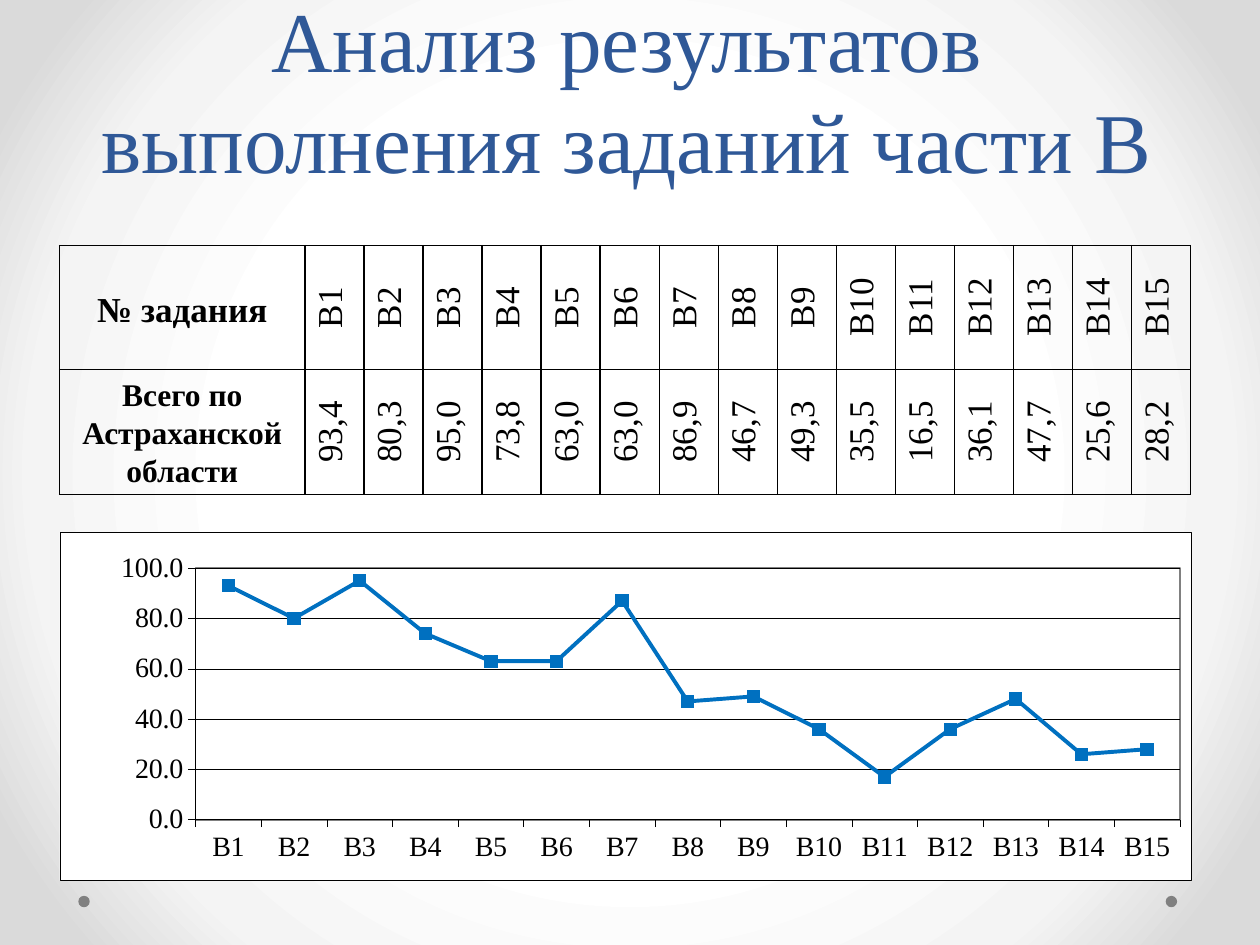
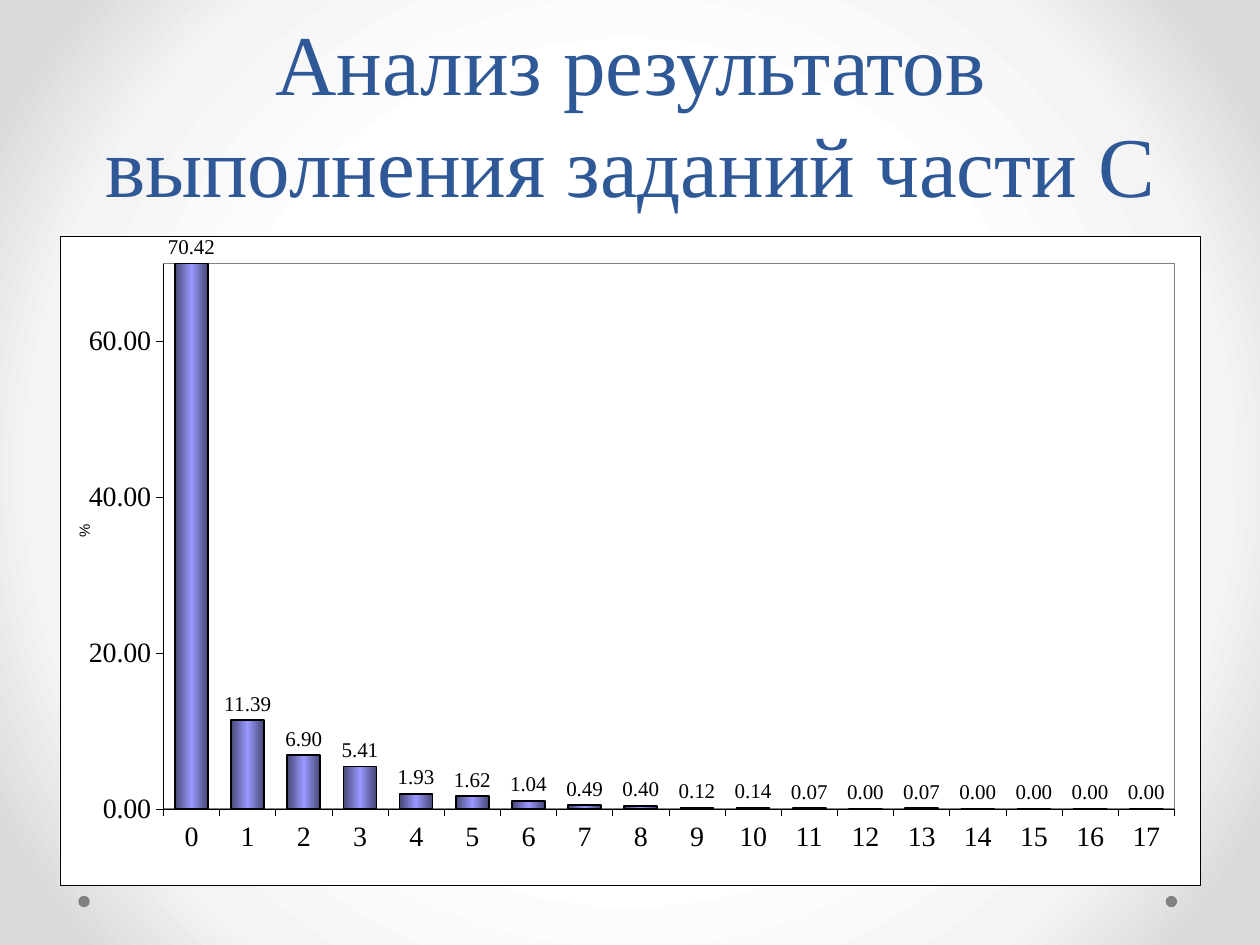
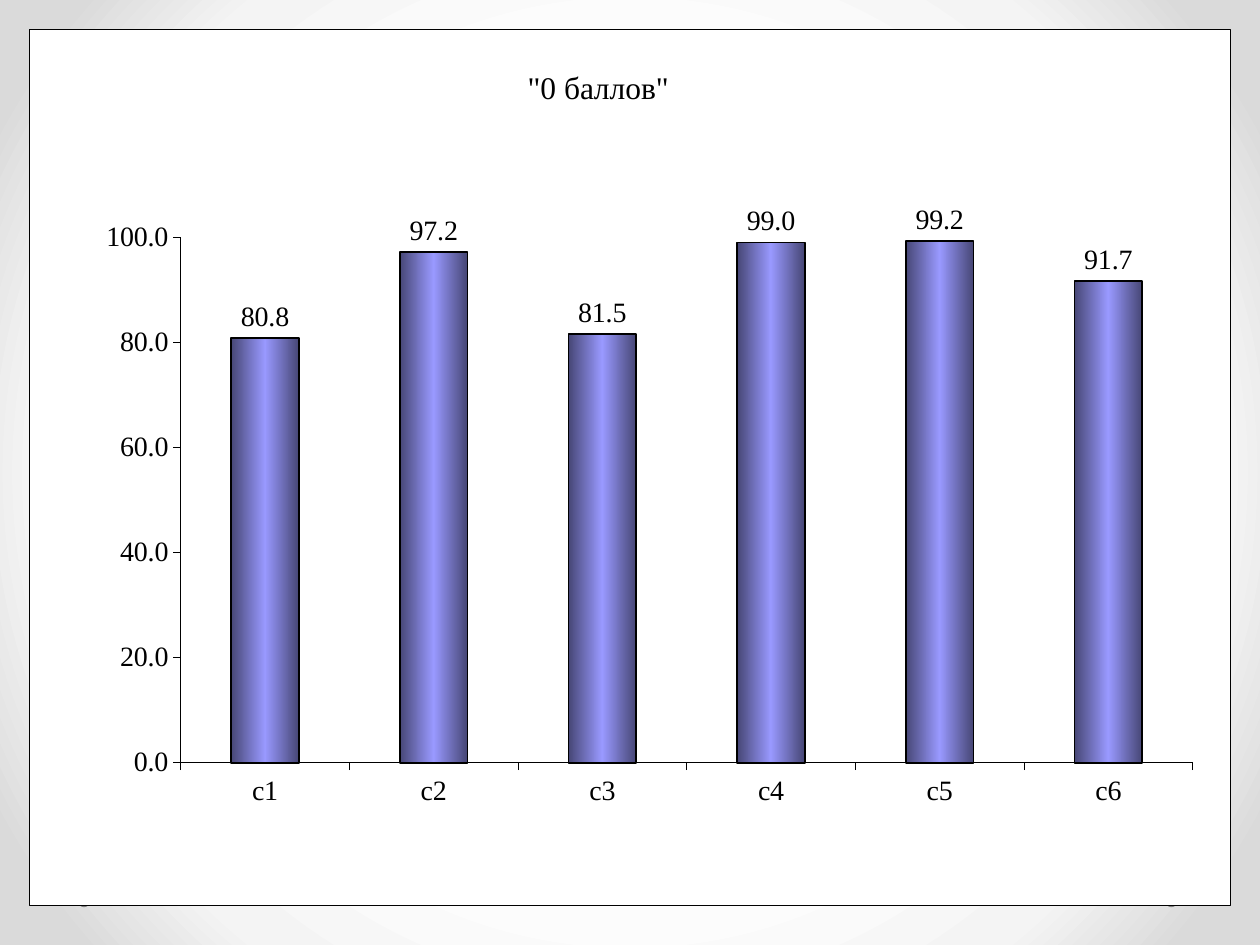
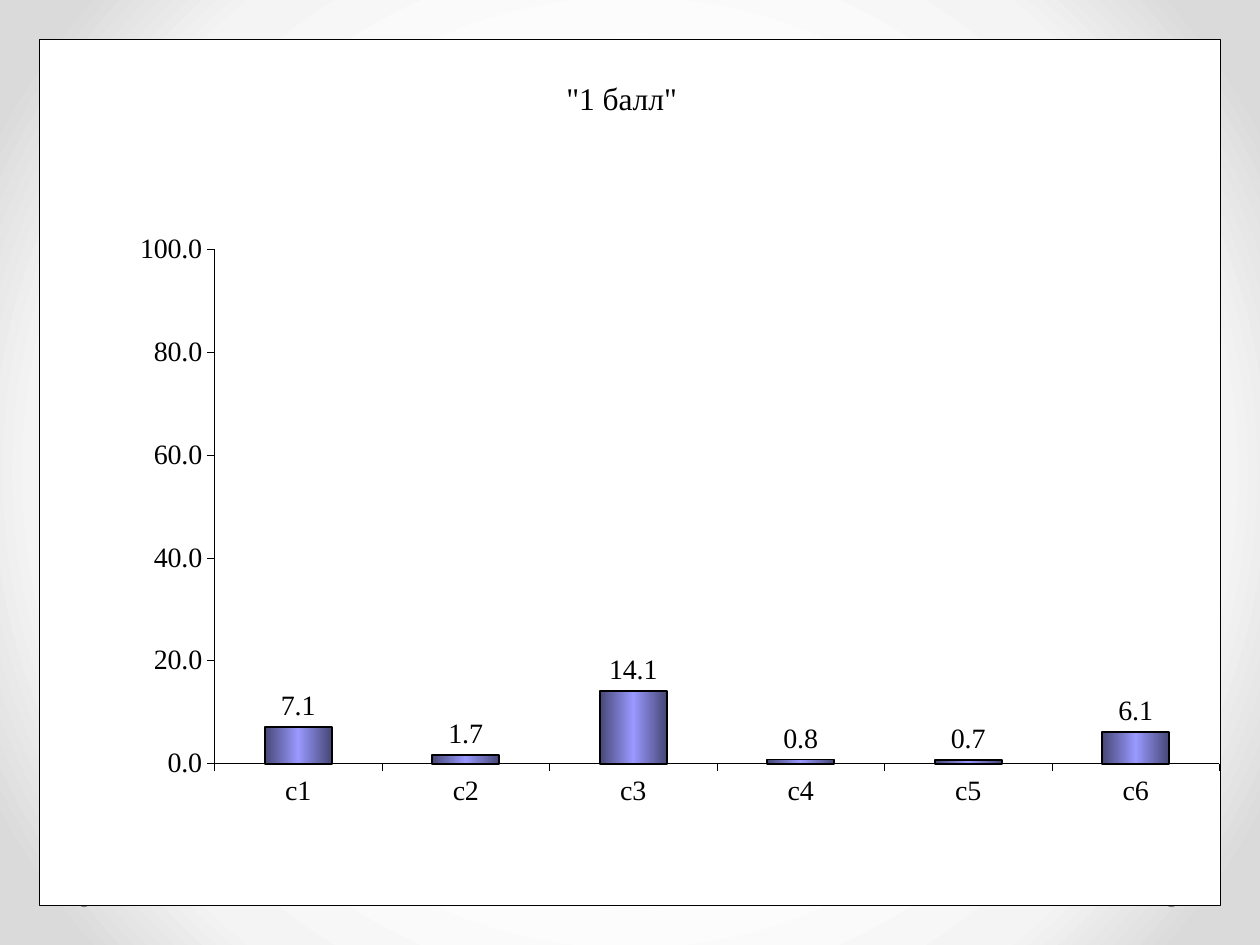
from pptx import Presentation
from pptx.chart.data import CategoryChartData
from pptx.dml.color import RGBColor
from pptx.enum.chart import XL_CHART_TYPE as ChartType
from pptx.enum.chart import XL_LABEL_POSITION as LabelPosition
from pptx.enum.chart import XL_MARKER_STYLE as MarkerStyle
from pptx.enum.chart import XL_TICK_MARK as TickMark
from pptx.enum.shapes import MSO_SHAPE as ShapeType
from pptx.enum.text import MSO_ANCHOR as Anchor
from pptx.enum.text import PP_ALIGN as Align
from pptx.oxml import parse_xml
from pptx.oxml.ns import nsdecls, qn
from pptx.util import Cm, Pt

SERIF = "Times New Roman"
SANS = "Arial"
BLACK = "000000"
WHITE = "FFFFFF"
GREY = "808080"
TITLE_BLUE = "2F5897"
LINE_BLUE = "0070C0"
BACKGROUND_STOPS = [(50, WHITE), (76, "F4F4F4"), (92, "DADADA")]
BAR_STOPS = [(0, "474776"), (50, "9999FF"), (100, "474776")]
CENTRE_OUT = ('<a:path path="circle"><a:fillToRect l="50000" t="50000" '
              'r="50000" b="50000"/></a:path>')
LEFT_TO_RIGHT = '<a:lin ang="0" scaled="1"/>'

PART_B = [93.4, 80.3, 95.0, 73.8, 63.0, 63.0, 86.9, 46.7, 49.3, 35.5,
          16.5, 36.1, 47.7, 25.6, 28.2]
PART_B_ROUNDED = [int(result + 0.5) for result in PART_B]
PART_B_TASKS = [f"В{number}" for number in range(1, len(PART_B) + 1)]
PART_C = [70.42, 11.39, 6.9, 5.41, 1.93, 1.62, 1.04, 0.49, 0.4,
          0.12, 0.14, 0.07, 0, 0.07, 0, 0, 0, 0]
PART_C_SCORES = [str(score) for score in range(len(PART_C))]
PART_C_TASKS = ["с1", "с2", "с3", "с4", "с5", "c6"]


def colour(value):
    return RGBColor.from_string(value)


def lengths(box):
    return [Cm(value) for value in box]


def apply(target, **values):
    for name, value in values.items():
        setattr(target, name, value)


def style_font(font, size, hex_colour=BLACK, name=SERIF, bold=False):
    apply(font, size=Pt(size), name=name, bold=bold)
    font.color.rgb = colour(hex_colour)


def style_line(line, hex_colour, width):
    line.color.rgb = colour(hex_colour)
    line.width = Pt(width)


def set_gradient(fill, owner, stops, direction):
    fill.gradient()
    stop_list = "".join(
        f'<a:gs pos="{position * 1000}"><a:srgbClr val="{value}"/></a:gs>'
        for position, value in stops)
    gradient = owner.find(".//" + qn("a:gradFill"))
    gradient.getparent().replace(gradient, parse_xml(
        f'<a:gradFill {nsdecls("a")} rotWithShape="1">'
        f'<a:gsLst>{stop_list}</a:gsLst>{direction}</a:gradFill>'))


def set_layout(parent, chart_box, place):
    current = parent.find(qn("c:layout"))
    if current is not None:
        parent.remove(current)
    width, height = chart_box[2:]
    values = dict(zip("xywh", (length / whole for length, whole
                               in zip(place, (width, height, width, height)))))
    target = '<c:layoutTarget val="inner"/>' if "w" in values else ""
    modes = "".join(f'<c:{key}Mode val="edge"/>' for key in "xy")
    numbers = "".join(f'<c:{key} val="{value}"/>' for key, value in values.items())
    layout = parse_xml(f'<c:layout {nsdecls("c")}><c:manualLayout>'
                       f'{target}{modes}{numbers}</c:manualLayout></c:layout>')
    parent.insert(0 if parent.find(qn("c:tx")) is None else 1, layout)


def frame_properties(fill, hex_colour, width):
    paint = f'<a:solidFill><a:srgbClr val="{fill}"/></a:solidFill>' if fill else "<a:noFill/>"
    outline = "<a:noFill/>"
    if hex_colour:
        outline = f'<a:solidFill><a:srgbClr val="{hex_colour}"/></a:solidFill>'
    return parse_xml(f'<c:spPr {nsdecls("c", "a")}>{paint}'
                     f'<a:ln w="{Pt(width)}">{outline}</a:ln></c:spPr>')


def prepare_master(presentation, slide):
    master = presentation.slide_master
    set_gradient(master.background.fill, master.element, BACKGROUND_STOPS, CENTRE_OUT)
    for left in (1.58, 23.5):
        dot = slide.shapes.add_shape(ShapeType.OVAL, *lengths((left, 18.06, 0.23, 0.23)))
        dot.shadow.inherit = False
        dot.fill.solid()
        dot.fill.fore_color.rgb = colour(GREY)
        dot.line.fill.background()
        master.shapes.element.append(dot.element)


def add_title(slide, box, text):
    frame = slide.shapes.add_textbox(*lengths(box)).text_frame
    apply(frame, word_wrap=True, vertical_anchor=Anchor.BOTTOM)
    paragraph = frame.paragraphs[0]
    apply(paragraph, text=text, alignment=Align.CENTER, line_spacing=Pt(58))
    style_font(paragraph.runs[0].font, 48.6, TITLE_BLUE)


def fill_cell(cell, text, size, heading, spacing=1.15):
    apply(cell, text=text, vertical_anchor=Anchor.MIDDLE, margin_left=Cm(0.18),
          margin_right=Cm(0.18), margin_top=0, margin_bottom=0)
    paragraph = cell.text_frame.paragraphs[0]
    apply(paragraph, alignment=Align.CENTER, line_spacing=spacing)
    style_font(paragraph.runs[0].font, size, bold=heading)
    cell.fill.background()
    properties = cell._tc.get_or_add_tcPr()
    if not heading:
        properties.set("vert", "vert270")
        for margin in ("marL", "marR"):
            paragraph._p.get_or_add_pPr().set(margin, str(Cm(0.2)))
    for index, side in enumerate("LRTB"):
        properties.insert(index, parse_xml(
            f'<a:ln{side} {nsdecls("a")} w="{Pt(1)}"><a:solidFill>'
            f'<a:srgbClr val="{BLACK}"/></a:solidFill></a:ln{side}>'))


def add_results_table(slide, box, tasks, results):
    rows = [("№ задания", 20, 1.15, tasks),
            ("Всего по Астраханской области", 18, 1.1,
             [f"{result:.1f}".replace(".", ",") for result in results])]
    table = slide.shapes.add_table(len(rows), len(tasks) + 1, *lengths(box)).table
    apply(table, first_row=False, horz_banding=False)
    heading_width = 4.95
    for index, column in enumerate(table.columns):
        column.width = Cm((box[2] - heading_width) / len(tasks) if index else heading_width)
    for row, (heading, size, spacing, values) in enumerate(rows):
        table.rows[row].height = Cm(box[3] / len(rows))
        fill_cell(table.cell(row, 0), heading, size, True, spacing)
        for column, value in enumerate(values, 1):
            fill_cell(table.cell(row, column), value, 20, False)


def add_chart(slide, box, kind, categories, values, plot_box,
              number_format="0.0", maximum=100, plot_border=None):
    data = CategoryChartData()
    data.categories = categories
    data.add_series("Series 1", values)
    chart = slide.shapes.add_chart(kind, *lengths(box), data).chart
    apply(chart, has_legend=False, has_title=False)
    style_font(chart.font, 10, name=SANS)
    chart.element.find(qn("c:txPr")).addprevious(frame_properties(WHITE, BLACK, 0.25))
    plot_area = chart.element.find(".//" + qn("c:plotArea"))
    set_layout(plot_area, box, plot_box)
    plot_area.append(frame_properties(None, plot_border, 1))
    for axis in (chart.category_axis, chart.value_axis):
        apply(axis, major_tick_mark=TickMark.OUTSIDE, minor_tick_mark=TickMark.NONE,
              has_major_gridlines=False)
        style_font(axis.tick_labels.font, 16)
        style_line(axis.format.line, BLACK, 0.25)
    apply(chart.value_axis, minimum_scale=0, maximum_scale=maximum, major_unit=20)
    apply(chart.value_axis.tick_labels, number_format=number_format,
          number_format_is_linked=False)
    chart.plots[0].vary_by_categories = False
    return chart


def add_line_chart(slide, box, categories, values, plot_box):
    chart = add_chart(slide, box, ChartType.LINE_MARKERS, categories, values,
                      plot_box, plot_border=GREY)
    chart.value_axis.has_major_gridlines = True
    style_line(chart.value_axis.major_gridlines.format.line, BLACK, 0.25)
    series = chart.plots[0].series[0]
    series.smooth = False
    style_line(series.format.line, LINE_BLUE, 2.25)
    marker = series.marker
    apply(marker, style=MarkerStyle.SQUARE, size=7)
    marker.format.fill.solid()
    marker.format.fill.fore_color.rgb = colour(LINE_BLUE)
    style_line(marker.format.line, LINE_BLUE, 0.75)


def add_bar_chart(slide, box, categories, values, plot_box, gap, label_size,
                  number_format="0.0", **options):
    chart = add_chart(slide, box, ChartType.COLUMN_CLUSTERED, categories, values,
                      plot_box, number_format, **options)
    plot = chart.plots[0]
    apply(plot, gap_width=gap, has_data_labels=True)
    apply(plot.data_labels, show_value=True, number_format=number_format,
          number_format_is_linked=False, position=LabelPosition.OUTSIDE_END)
    style_font(plot.data_labels.font, label_size)
    series = plot.series[0]
    series.invert_if_negative = False
    set_gradient(series.format.fill, chart.element, BAR_STOPS, LEFT_TO_RIGHT)
    style_line(series.format.line, BLACK, 1)
    return chart


def write_chart_title(title, text, size, name, chart_box, place):
    paragraph = title.text_frame.paragraphs[0]
    paragraph.text = text
    style_font(paragraph.runs[0].font, size, name=name)
    set_layout(title._element, chart_box, place)


def build_part_b(slide):
    add_title(slide, (1.2, 0.79, 22.86, 3.18),
              "Анализ результатов выполнения заданий части В")
    add_results_table(slide, (1.2, 4.95, 22.8, 5), PART_B_TASKS, PART_B)
    add_line_chart(slide, (1.2, 10.73, 22.82, 7.02), PART_B_TASKS, PART_B_ROUNDED,
                   (2.74, 0.72, 19.85, 5.08))


def build_part_c(slide):
    add_title(slide, (1.28, 0, 22.86, 4.45),
              "Анализ результатов выполнения заданий части С")
    box = (1.2, 4.75, 23.01, 13.1)
    chart = add_bar_chart(slide, box, PART_C_SCORES, PART_C,
                          (2.09, 0.56, 20.39, 11), 70, 12, "0.00",
                          maximum=70, plot_border=GREY)
    write_chart_title(chart.value_axis.axis_title, "%", 8.5, SANS, box, (0.25, 5.78))


def build_score_share(slide, box, text, values, plot_box, title_place):
    chart = add_bar_chart(slide, box, PART_C_TASKS, values, plot_box, 150, 16)
    chart.has_title = True
    write_chart_title(chart.chart_title, text, 18, SERIF, box, title_place)


def main():
    presentation = Presentation()
    apply(presentation, slide_width=Cm(25.4), slide_height=Cm(19.05))
    blank = presentation.slide_layouts[6]
    slides = [presentation.slides.add_slide(blank) for _ in range(4)]
    prepare_master(presentation, slides[0])
    build_part_b(slides[0])
    build_part_c(slides[1])
    build_score_share(slides[2], (0.59, 0.59, 24.21, 17.66), '"0 баллов"',
                      [80.8, 97.2, 81.5, 99.0, 99.2, 91.7],
                      (3.05, 4.19, 20.41, 10.6), (9.93, 0.66))
    build_score_share(slides[3], (0.79, 0.79, 23.82, 17.47), '"1 балл"',
                      [7.1, 1.7, 14.1, 0.8, 0.7, 6.1],
                      (3.53, 4.23, 20.27, 10.38), (10.51, 0.69))
    presentation.save("out.pptx")


main()
